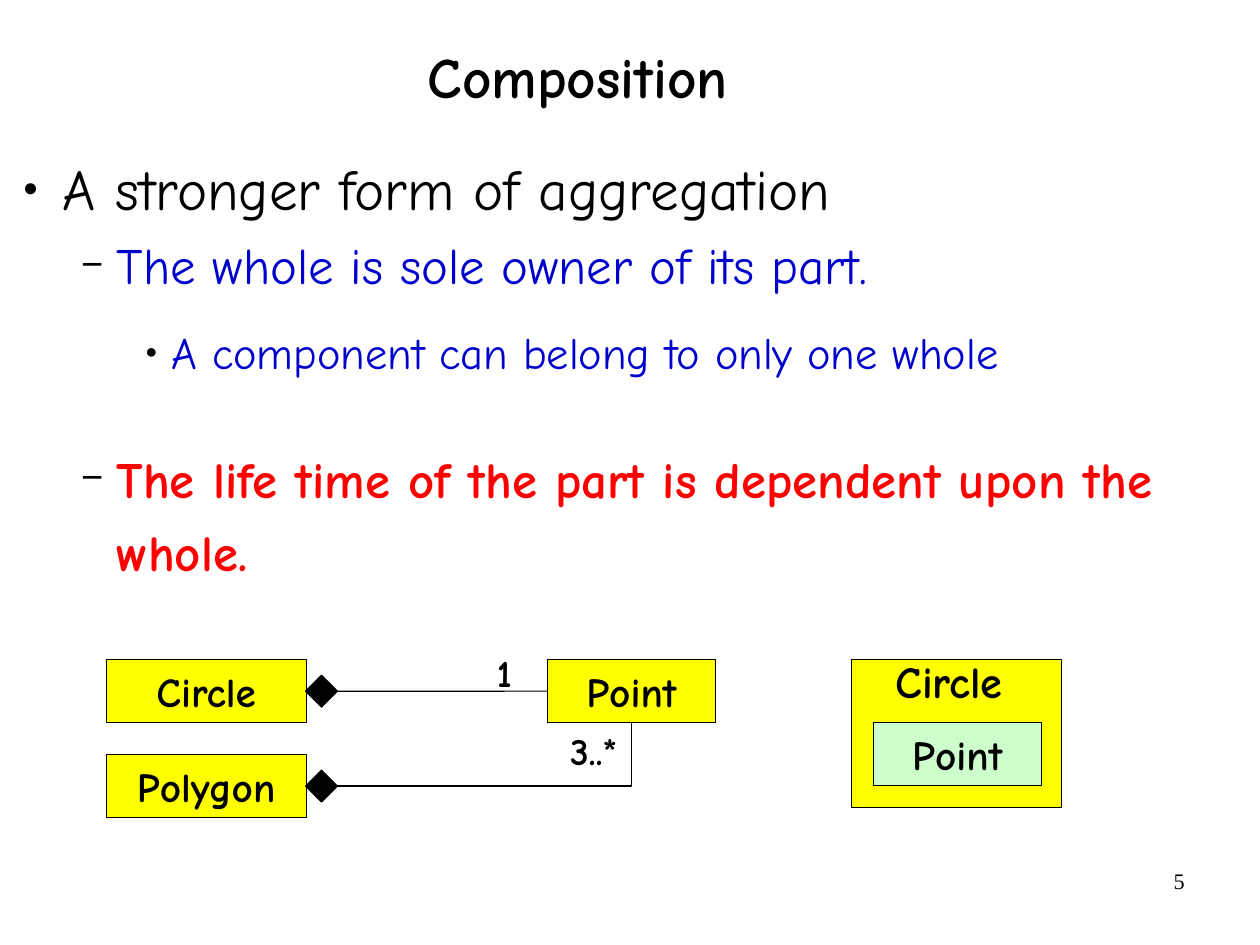
"""Build the slide on composition, with its class diagram."""
from lxml import etree
from pptx import Presentation
from pptx import util as u
from pptx.dml.color import RGBColor
from pptx.enum import shapes, text
from pptx.oxml import ns

COLORS = {"black": "000000", "blue": "0000CC", "red": "FF0000",
          "yellow": "FFFF00", "green": "CCFFCC"}


def add_span(para, words, size, color="black", bold=True, font="Comic Neue"):
    span = para.add_run()
    span.text = words
    span.font.size = u.Pt(size)
    span.font.name = font
    span.font.bold = bold
    span.font.color.rgb = RGBColor.from_string(COLORS[color])


def add_block(page, kind, left, top, width, height, color, words=""):
    block = page.shapes.add_shape(kind, u.Cm(left), u.Cm(top), u.Cm(width), u.Cm(height))
    block.shadow.inherit = False
    block.fill.solid()
    block.fill.fore_color.rgb = RGBColor.from_string(COLORS[color])
    block.line.color.rgb = RGBColor.from_string(COLORS["black"])
    block.line.width = u.Pt(0.75)
    if words:
        frame = block.text_frame
        frame.word_wrap = False
        frame.vertical_anchor = text.MSO_ANCHOR.MIDDLE
        frame.margin_left = frame.margin_right = u.Cm(0.28)
        frame.margin_top = frame.margin_bottom = u.Cm(0.15)
        frame.paragraphs[0].alignment = text.PP_ALIGN.CENTER
        add_span(frame.paragraphs[0], words, 26)
    return block


deck = Presentation()
deck.slide_width, deck.slide_height = u.Cm(28), u.Cm(21)
page = deck.slides.add_slide(deck.slide_layouts[1])
title, body = page.placeholders

for holder, left, top, width, height in [(title, 0.9, 0.56, 23.88, 2.46),
                                         (body, 0.23, 3.1, 26.9, 11.84)]:
    holder.left, holder.top = u.Cm(left), u.Cm(top)
    holder.width, holder.height = u.Cm(width), u.Cm(height)
    frame = holder.text_frame
    frame.auto_size = text.MSO_AUTO_SIZE.NONE
    frame.word_wrap = True
    frame.margin_left = frame.margin_right = frame.margin_top = frame.margin_bottom = 0

title.text_frame.vertical_anchor = text.MSO_ANCHOR.MIDDLE
heading = title.text_frame.paragraphs[0]
heading.alignment = text.PP_ALIGN.CENTER
heading.line_spacing = 0.88
add_span(heading, "Composition", 36)

LEVELS = [(1.17, -0.89, "●", 45, 36), (2.36, -0.79, "−", 75, 32), (3.58, -0.58, "●", 45, 28)]
points = [
    (0, 0, "A stronger form of aggregation", "black", False),
    (1, 12, "The whole is sole owner of its part.", "blue", False),
    (2, 36, "A component can belong to only one whole", "blue", False),
    (1, 12, "The life time of the part is dependent upon the whole.", "red", True),
]
for index, (level, after, words, color, bold) in enumerate(points):
    margin, indent, mark, mark_size, size = LEVELS[level]
    para = body.text_frame.add_paragraph() if index else body.text_frame.paragraphs[0]
    para.level = level
    para.alignment = text.PP_ALIGN.LEFT
    para.line_spacing = 1.2
    para.space_before, para.space_after = u.Pt(0), u.Pt(after)
    props = para._p.get_or_add_pPr()
    props.set("marL", str(u.Cm(margin)))
    props.set("indent", str(u.Cm(indent)))
    mark_color = etree.SubElement(props, ns.qn("a:buClr"))
    etree.SubElement(mark_color, ns.qn("a:srgbClr"), val=COLORS["black"])
    etree.SubElement(props, ns.qn("a:buSzPct"), val=str(mark_size * 1000))
    etree.SubElement(props, ns.qn("a:buChar"), char=mark)
    add_span(para, words, size, color, bold)

RECT, DIAMOND = shapes.MSO_SHAPE.RECTANGLE, shapes.MSO_SHAPE.DIAMOND
LEFT, TOP, ROW_STEP = 2.36, 14.66, 2.11
WHOLE_WIDTH, PART_WIDTH, HEIGHT, TIP = 4.45, 3.73, 1.4, 0.71

part = add_block(page, RECT, 12.17, TOP, PART_WIDTH, HEIGHT, "yellow", "Point")
links = [("Circle", shapes.MSO_CONNECTOR.STRAIGHT, 1),
         ("Polygon", shapes.MSO_CONNECTOR.ELBOW, 2)]
for row, (name, kind, part_side) in enumerate(links):
    top = TOP + row * ROW_STEP
    add_block(page, RECT, LEFT, top, WHOLE_WIDTH, HEIGHT, "yellow", name)
    tip = add_block(page, DIAMOND, LEFT + WHOLE_WIDTH - 0.02, top + (HEIGHT - TIP) / 2,
                    TIP, TIP, "black")
    link = page.shapes.add_connector(kind, 0, 0, 0, 0)
    link.begin_connect(tip, 3)
    link.end_connect(part, part_side)
    link.line.color.rgb = RGBColor.from_string(COLORS["black"])
    link.line.width = u.Pt(0.75)
    etree.SubElement(link._element.spPr, ns.qn("a:effectLst"))
    if kind == shapes.MSO_CONNECTOR.ELBOW:
        link._element.spPr.find(ns.qn("a:prstGeom")).set("prst", "bentConnector2")

add_block(page, RECT, 18.92, TOP, 4.67, 3.28, "yellow")
add_block(page, RECT, 19.41, TOP + HEIGHT, PART_WIDTH, HEIGHT, "green", "Point")

labels = [
    ("3..*", 12.4, 16.03, 2.26, 1.3, 24, True, "Comic Neue", text.PP_ALIGN.LEFT),
    ("1", 10.77, 14.3, 1.07, 1.3, 24, True, "Comic Neue", text.PP_ALIGN.LEFT),
    ("Circle", 19.63, 14.4, 3.25, 1.47, 28, True, "Comic Neue", text.PP_ALIGN.LEFT),
    ("5", 20.07, 19.13, 6.53, 1.45, 14, False, "Times New Roman", text.PP_ALIGN.RIGHT),
]
for words, left, top, width, height, size, bold, font, align in labels:
    box = page.shapes.add_textbox(u.Cm(left), u.Cm(top), u.Cm(width), u.Cm(height))
    frame = box.text_frame
    frame.word_wrap = align == text.PP_ALIGN.RIGHT
    frame.margin_left = frame.margin_right = u.Cm(0.27)
    frame.margin_top = frame.margin_bottom = u.Cm(0.14)
    frame.paragraphs[0].alignment = align
    add_span(frame.paragraphs[0], words, size, "black", bold, font)

deck.save("out.pptx")
